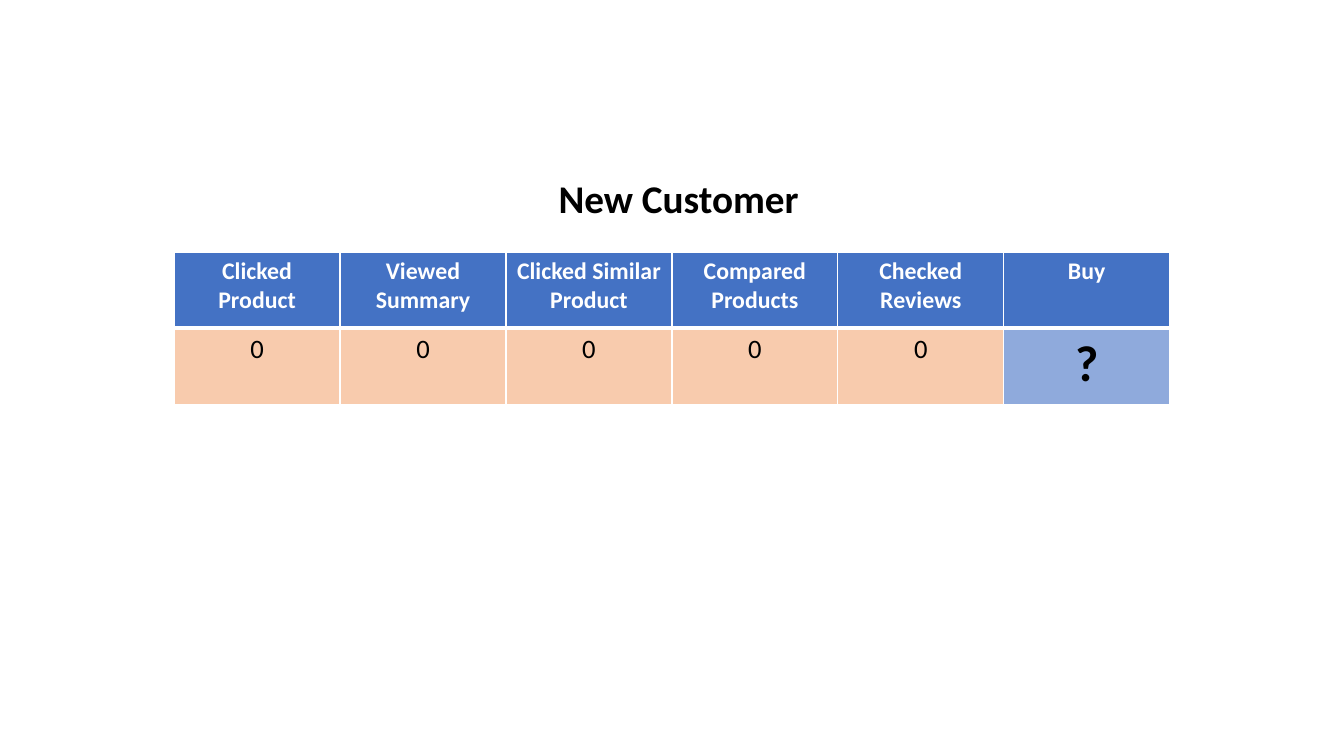
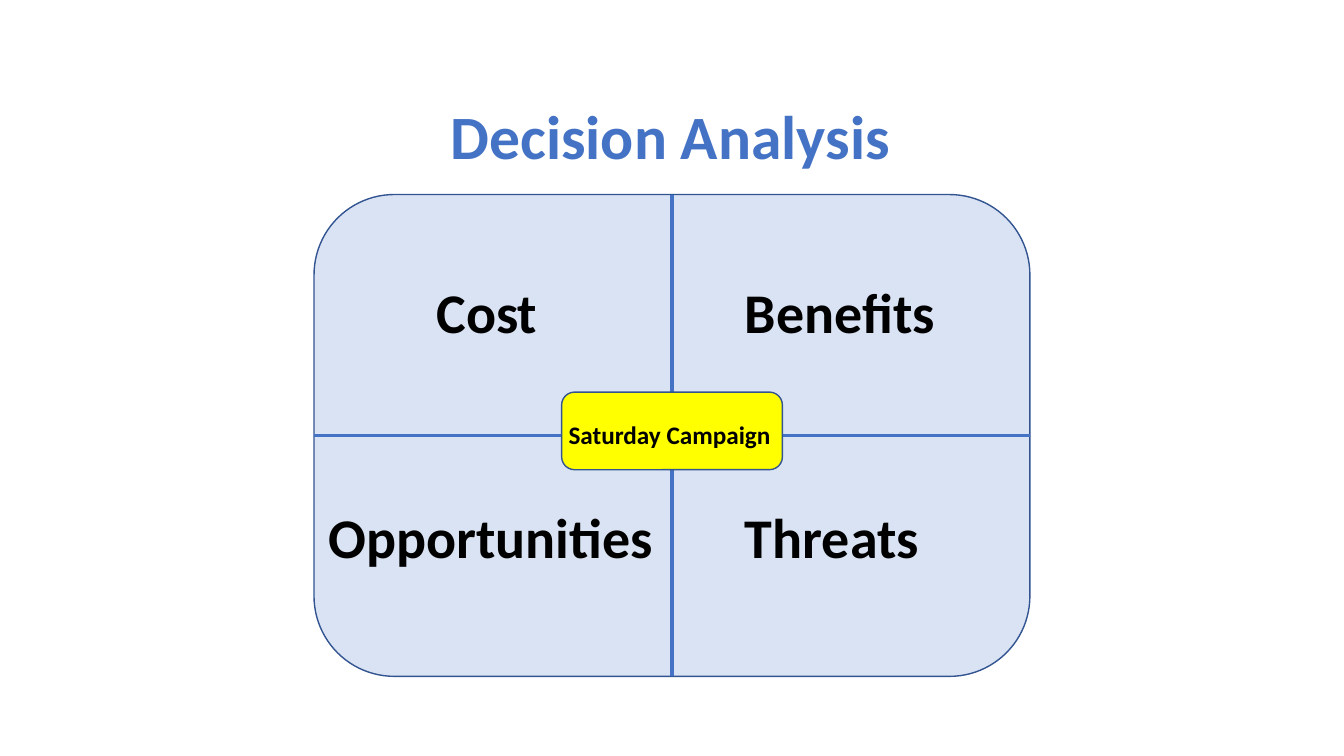
from itertools import product
from lxml import etree
from pptx import Presentation
from pptx.dml.color import RGBColor
from pptx.enum.shapes import MSO_CONNECTOR as Connector, MSO_SHAPE as Shape
from pptx.enum.text import MSO_ANCHOR as Anchor, MSO_AUTO_SIZE as AutoSize, PP_ALIGN as Align
from pptx.oxml.ns import qn
from pptx.util import Inches, Pt

BLUE, OUTLINE, PALE_BLUE, MID_BLUE = "4472C4", "325491", "DAE3F3", "8FAADC"
PEACH, YELLOW, WHITE, BLACK = "F8CBAD", "FFFF00", "FFFFFF", "000000"
TITLE_ONLY = 5


def color(hex_value):
    return RGBColor.from_string(hex_value)


def write(frame, text, size, ink=BLACK, bold=True, align=Align.LEFT, anchor=Anchor.TOP, wrap=False):
    frame.word_wrap = wrap
    frame.vertical_anchor = anchor
    paragraph = frame.paragraphs[0]
    paragraph.alignment = align
    run = paragraph.add_run()
    run.text = text
    run.font.name, run.font.size, run.font.bold = "Calibri", Pt(size), bold
    run.font.color.rgb = color(ink)


deck = Presentation()
deck.slide_width, deck.slide_height = Inches(13.33), Inches(7.5)
middle = deck.slide_width // 2

headings = [
    ("New Customer", 28, BLACK, Anchor.TOP, (5.44, 1.68, 2.6, 0.57)),
    ("Decision Analysis", 44, BLUE, Anchor.MIDDLE, (4.37, 0.92, 4.59, 0.84)),
]
slides = []
for heading, size, ink, anchor, place in headings:
    slide = deck.slides.add_slide(deck.slide_layouts[TITLE_ONLY])
    title = slide.shapes.title
    title.left, title.top, title.width, title.height = map(Inches, place)
    title.text_frame.auto_size = AutoSize.NONE
    write(title.text_frame, heading, size, ink, anchor=anchor)
    slides.append(slide)
customer_slide, decision_slide = slides

signals = ["Clicked Product", "Viewed Summary", "Clicked Similar Product",
           "Compared Products", "Checked Reviews", "Buy"]
rows = [signals, ["0"] * 5 + ["?"]]
column_width, row_height = Inches(1.646), Inches(0.755)
table_width = column_width * len(signals)
table = customer_slide.shapes.add_table(
    len(rows), len(signals), middle - table_width // 2, deck.slide_height // 3,
    table_width, row_height * len(rows)).table
for column in table.columns:
    column.width = column_width

for r, c in product(range(len(rows)), range(len(signals))):
    cell, text = table.cell(r, c), rows[r][c]
    if r == 0:
        fill, style = BLUE, dict(size=17, ink=WHITE)
    elif text == "?":
        fill, style = MID_BLUE, dict(size=36)
    else:
        fill, style = PEACH, dict(size=19, bold=False)
    properties = cell._tc.get_or_add_tcPr()
    for edge in ("lnL", "lnR", "lnT", "lnB"):
        between_rows = (r, edge) in ((0, "lnB"), (1, "lnT"))
        border = etree.SubElement(properties, qn("a:" + edge), w=str(Pt(3 if between_rows else 1)))
        paint = etree.SubElement(border, qn("a:solidFill"))
        etree.SubElement(paint, qn("a:srgbClr"), val=WHITE)
    cell.fill.solid()
    cell.fill.fore_color.rgb = color(fill)
    write(cell.text_frame, text, align=Align.CENTER, wrap=True, **style)

shapes = decision_slide.shapes
matrix_width, matrix_height = Inches(7.1), Inches(4.78)
left, top = middle - matrix_width // 2, Inches(1.93)
right, bottom = left + matrix_width, top + matrix_height
center_y = top + matrix_height // 2
badge_width, badge_height = Inches(2.19), Inches(0.77)
badge_left, badge_top = middle - badge_width // 2, Inches(3.89)


def panel(x, y, width, height, fill):
    box = shapes.add_shape(Shape.ROUNDED_RECTANGLE, x, y, width, height)
    box.shadow.inherit = False
    box.fill.solid()
    box.fill.fore_color.rgb = color(fill)
    box.line.color.rgb = color(OUTLINE)
    box.line.width = Pt(1)


panel(left, top, matrix_width, matrix_height, PALE_BLUE)
for ends in ((middle, top, middle, bottom), (left, center_y, right, center_y)):
    divider = shapes.add_connector(Connector.STRAIGHT, *ends)
    divider.line.color.rgb = color(BLUE)
    divider.line.width = Pt(2.25)
    etree.SubElement(divider._element.spPr, qn("a:effectLst"))
panel(badge_left, badge_top, badge_width, badge_height, YELLOW)

upper, lower, right_column = 2.7, 4.94, 7.29
labels = [
    ("Cost", 40, 4.23, upper, 1.21, 0.77),
    ("Benefits", 40, right_column, upper, 2.11, 0.77),
    ("Threats", 40, right_column, lower, 1.95, 0.77),
    ("Opportunities", 40, 3.16, lower, 3.46, 0.77),
    ("Saturday Campaign", 18, 5.54, 4.11, 2.22, 0.4),
]
for text, size, *place in labels:
    write(shapes.add_textbox(*map(Inches, place)).text_frame, text, size)

deck.save("out.pptx")
